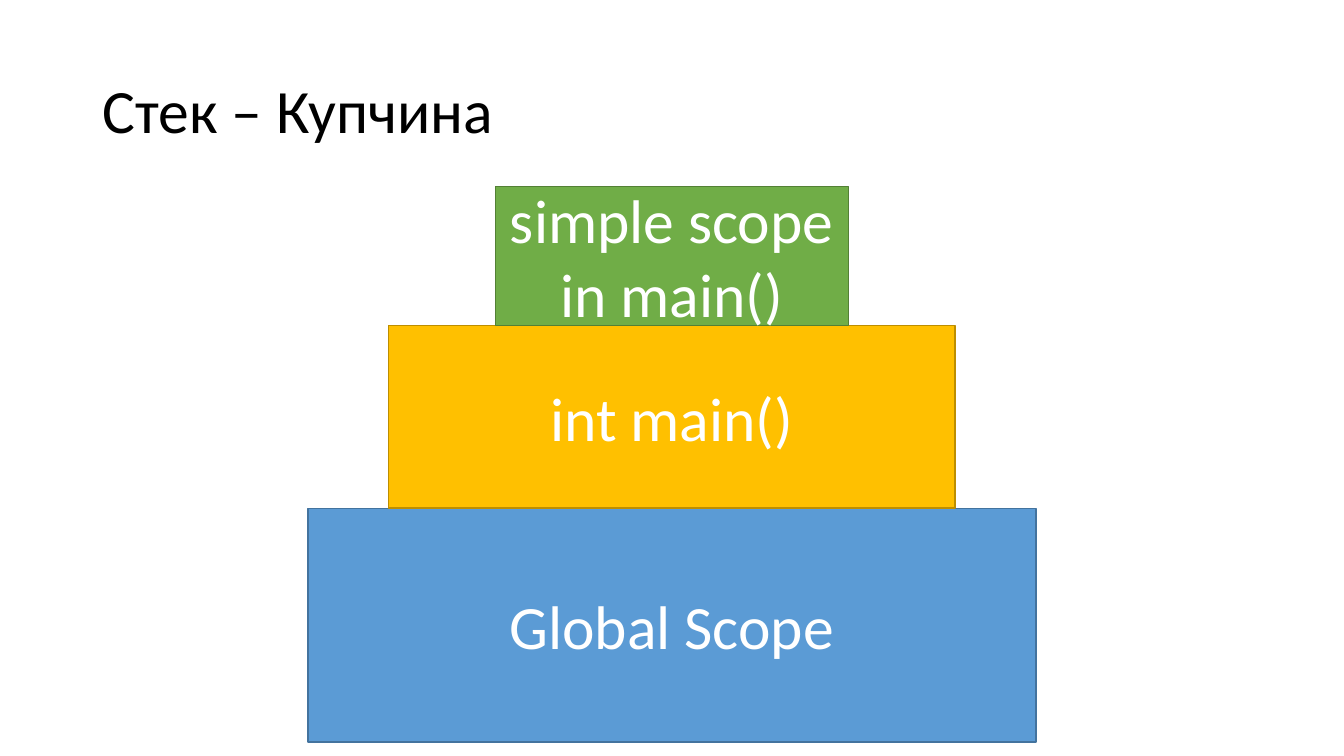
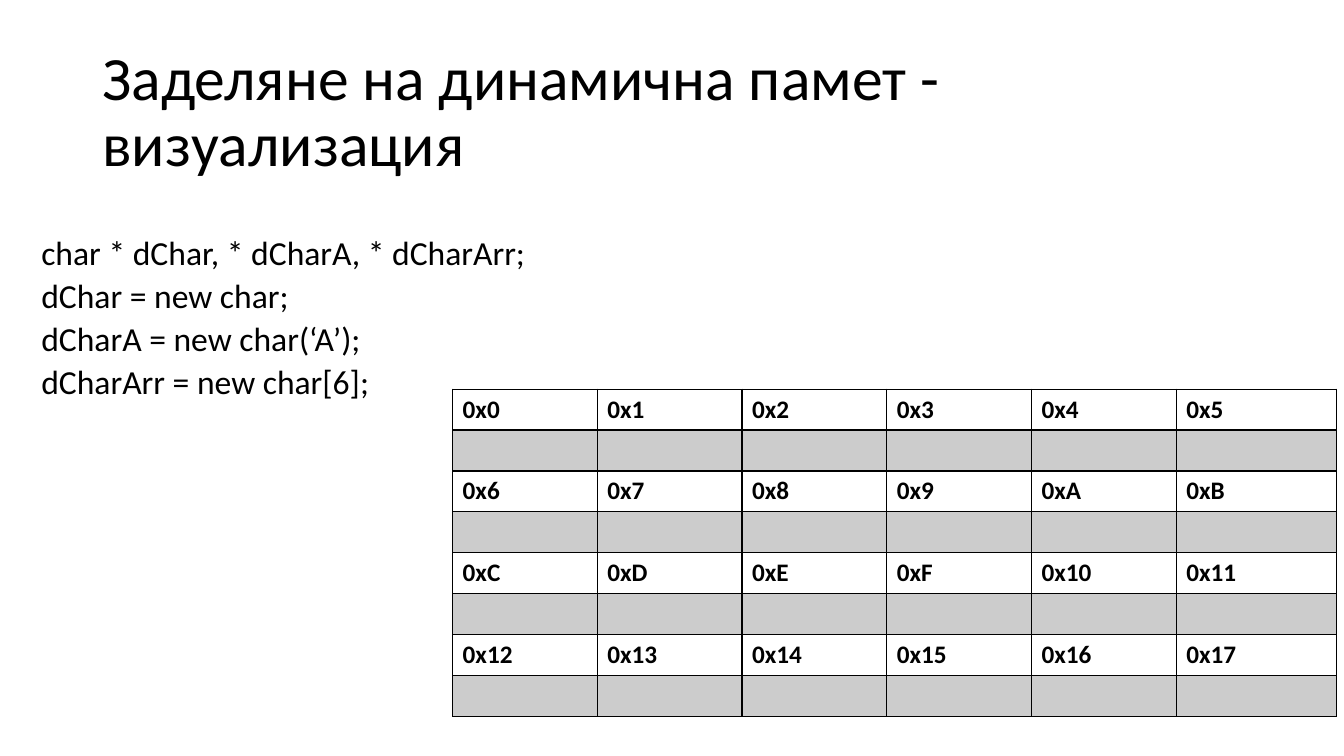
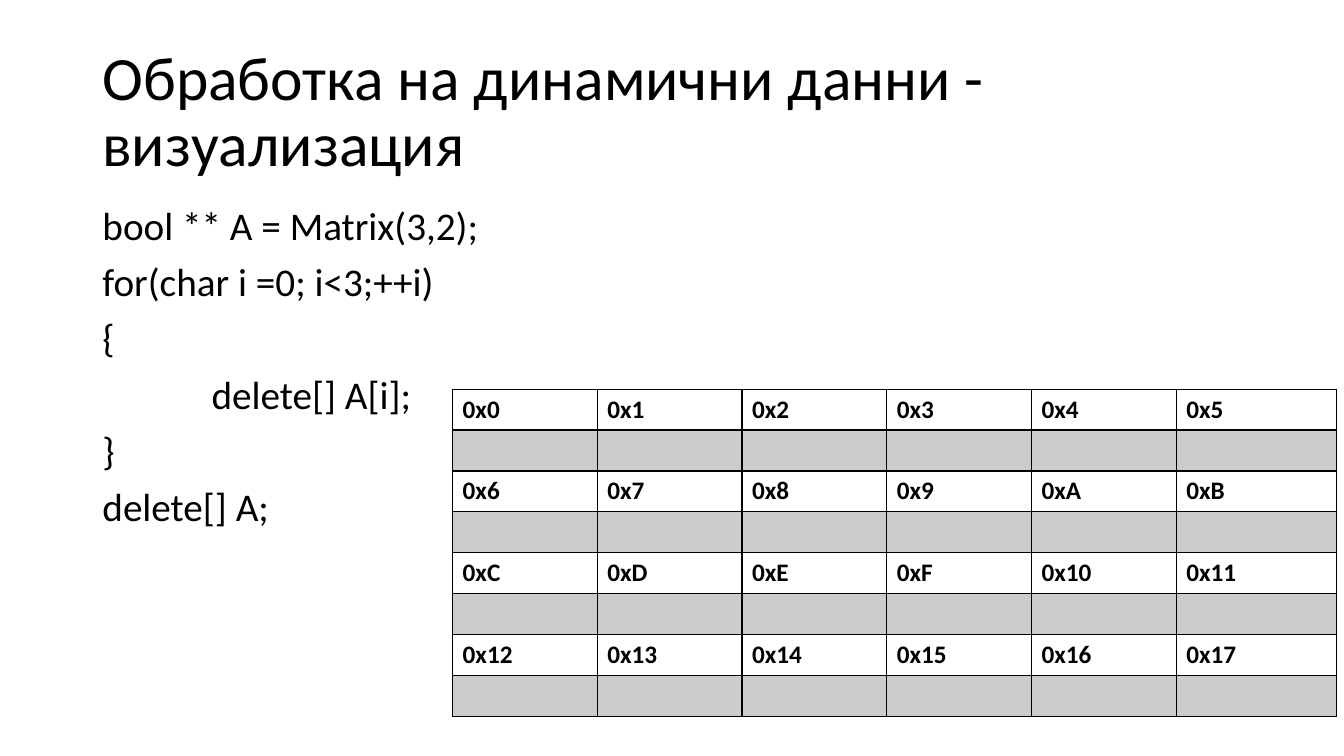
"""Build three slides about the call stack and dynamic memory."""
from dataclasses import dataclass

from lxml import etree
from pptx import Presentation
from pptx.dml.color import RGBColor
from pptx.enum.shapes import MSO_SHAPE
from pptx.enum.text import MSO_ANCHOR, MSO_AUTO_SIZE, PP_ALIGN
from pptx.oxml.ns import qn
from pptx.util import Pt

RECTANGLE = MSO_SHAPE.RECTANGLE
MIDDLE, TOP = MSO_ANCHOR.MIDDLE, MSO_ANCHOR.TOP
LEFT, CENTER = PP_ALIGN.LEFT, PP_ALIGN.CENTER
NO_AUTOFIT = MSO_AUTO_SIZE.NONE

FONT = "Calibri"
BLACK, WHITE = "000000", "FFFFFF"
HEADING_SIZE = 44
LINE_SPACING = 0.9
SLIDE_WIDTH, SLIDE_HEIGHT = 960, 540
LAYOUT_CONTENT, LAYOUT_TITLE_ONLY = 1, 5

STACK_BOTTOM = 530
TABLE_LEFT, TABLE_TOP = 323.3, 278
COLUMN_WIDTHS = [103.4] * 5 + [114.5]
ROW_HEIGHT = 29.2
ADDRESS_ROWS = 4
CELL_SHADE_ALPHA = 20


@dataclass(frozen=True)
class Box:
    """A rectangle on the slide, in points."""
    left: float
    top: float
    width: float
    height: float


@dataclass(frozen=True)
class StackBlock:
    """One centred tier of the stack."""
    lines: tuple[str, ...]
    width: float
    height: float
    fill: str
    line: str


@dataclass(frozen=True)
class CodeLine:
    """One line of code with its left indent in points."""
    text: str
    indent: float = 0


@dataclass(frozen=True)
class CodeListing:
    """Code lines and how the body placeholder shows them."""
    box: Box
    lines: tuple[CodeLine, ...]
    size: float
    space_before: float
    level: int = 0


TITLE_BOX = Box(66, 28.75, 828, 104.4)

STACK_BLOCKS = (
    StackBlock(("Global Scope",), 520, 167, "5B9BD5", "43739E"),
    StackBlock(("int main()",), 404.6, 130.3, "FFC000", "BD8E00"),
    StackBlock(("simple scope", "in main()"), 252, 99.4, "70AD47", "538035"),
)

ALLOCATION_CODE = CodeListing(
    Box(-13.7, 165, 931, 419),
    (
        CodeLine("char * dChar, * dCharA, * dCharArr;", 36),
        CodeLine("dChar = new char;", 36),
        CodeLine("dCharA = new char(‘A’);", 36),
        CodeLine("dCharArr = new char[6];", 36),
    ),
    size=24, space_before=5, level=1,
)

DELETION_CODE = CodeListing(
    Box(66, 143.75, 828, 342.6),
    (
        CodeLine("bool ** A = Matrix(3,2);"),
        CodeLine("for(char i =0; i<3;++i)"),
        CodeLine("{"),
        CodeLine("delete[] A[i];", 78),
        CodeLine("}"),
        CodeLine("delete[] A;"),
    ),
    size=28, space_before=10,
)


def color(value: str) -> RGBColor:
    """Turn a hex string into a colour."""
    return RGBColor.from_string(value)


def set_font(paragraph, size: float, value: str, bold: bool = False) -> None:
    """Format the whole paragraph."""
    font = paragraph.font
    font.name, font.size, font.bold = FONT, Pt(size), bold
    font.color.rgb = color(value)


def place(shape, box: Box) -> None:
    """Move and size a shape."""
    shape.left, shape.top = Pt(box.left), Pt(box.top)
    shape.width, shape.height = Pt(box.width), Pt(box.height)


def add_titled_slide(presentation, layout_index: int, title: str):
    """Add a slide with the shared title style."""
    slide = presentation.slides.add_slide(presentation.slide_layouts[layout_index])
    shape = slide.shapes.title
    place(shape, TITLE_BOX)
    frame = shape.text_frame
    frame.text = title
    frame.auto_size, frame.vertical_anchor = NO_AUTOFIT, MIDDLE
    paragraph = frame.paragraphs[0]
    paragraph.alignment, paragraph.line_spacing = LEFT, LINE_SPACING
    set_font(paragraph, HEADING_SIZE, BLACK)
    return slide


def add_stack(slide, blocks: tuple[StackBlock, ...]) -> None:
    """Pile centred blocks upwards from the stack's bottom edge."""
    top = STACK_BOTTOM
    for block in blocks:
        top -= block.height
        shape = slide.shapes.add_shape(
            RECTANGLE, Pt((SLIDE_WIDTH - block.width) / 2), Pt(top),
            Pt(block.width), Pt(block.height))
        shape.shadow.inherit = False
        shape.fill.solid()
        shape.fill.fore_color.rgb = color(block.fill)
        shape.line.color.rgb = color(block.line)
        shape.line.width = Pt(1)
        frame = shape.text_frame
        frame.text = "\n".join(block.lines)
        frame.word_wrap, frame.vertical_anchor = True, MIDDLE
        for paragraph in frame.paragraphs:
            paragraph.alignment = CENTER
            set_font(paragraph, HEADING_SIZE, WHITE)


def add_code(slide, listing: CodeListing) -> None:
    """Fill the body placeholder with code lines without bullets."""
    shape = slide.placeholders[1]
    place(shape, listing.box)
    frame = shape.text_frame
    frame.text = "\n".join(line.text for line in listing.lines)
    frame.auto_size, frame.vertical_anchor = NO_AUTOFIT, TOP
    for paragraph, line in zip(frame.paragraphs, listing.lines):
        paragraph.level = listing.level
        paragraph.line_spacing = LINE_SPACING
        paragraph.space_before = Pt(listing.space_before)
        set_font(paragraph, listing.size, BLACK)
        properties = paragraph._p.get_or_add_pPr()
        properties.set("marL", str(Pt(line.indent)))
        properties.set("indent", "0")
        properties.insert_element_before(
            etree.Element(qn("a:buNone")), "a:tabLst", "a:defRPr", "a:extLst")


def set_borders(cell, top: float, bottom: float) -> None:
    """Draw black cell borders; the sides are one point wide."""
    properties = cell._tc.get_or_add_tcPr()
    for side, width in (("L", 1), ("R", 1), ("T", top), ("B", bottom)):
        border = etree.SubElement(properties, qn(f"a:ln{side}"), w=str(Pt(width)))
        fill = etree.SubElement(border, qn("a:solidFill"))
        etree.SubElement(fill, qn("a:srgbClr"), val=BLACK)


def shade(cell) -> None:
    """Fill a cell with transparent black."""
    cell.fill.solid()
    cell.fill.fore_color.rgb = color(BLACK)
    solid_color = cell._tc.tcPr.find(".//" + qn("a:srgbClr") + "/..[@w]")
    solid_color = cell._tc.tcPr.find(qn("a:solidFill")).find(qn("a:srgbClr"))
    etree.SubElement(solid_color, qn("a:alpha"), val=str(CELL_SHADE_ALPHA * 1000))


def add_memory_table(slide) -> None:
    """Add rows of addresses, each above a row of shaded memory cells."""
    columns, rows = len(COLUMN_WIDTHS), 2 * ADDRESS_ROWS
    table = slide.shapes.add_table(
        rows, columns, Pt(TABLE_LEFT), Pt(TABLE_TOP),
        Pt(sum(COLUMN_WIDTHS)), Pt(rows * ROW_HEIGHT)).table
    table.first_row = table.horz_banding = False
    for column, width in zip(table.columns, COLUMN_WIDTHS):
        column.width = Pt(width)
    for row_index, row in enumerate(table.rows):
        row.height = Pt(ROW_HEIGHT)
        top = 2 if row_index == 1 else 1
        bottom = 2 if row_index == 0 else 1
        for column_index, cell in enumerate(row.cells):
            set_borders(cell, top, bottom)
            if row_index % 2:
                shade(cell)
                continue
            cell.fill.background()
            cell.text = f"0x{row_index // 2 * columns + column_index:X}"
            set_font(cell.text_frame.paragraphs[0], 18, BLACK, bold=True)


def add_memory_slide(presentation, title: str, listing: CodeListing) -> None:
    """Add a slide with code and the memory table."""
    slide = add_titled_slide(presentation, LAYOUT_CONTENT, title)
    add_code(slide, listing)
    add_memory_table(slide)


def main() -> None:
    """Build and save the presentation."""
    presentation = Presentation()
    presentation.slide_width = Pt(SLIDE_WIDTH)
    presentation.slide_height = Pt(SLIDE_HEIGHT)
    stack_slide = add_titled_slide(presentation, LAYOUT_TITLE_ONLY, "Стек – Купчина")
    add_stack(stack_slide, STACK_BLOCKS)
    add_memory_slide(
        presentation, "Заделяне на динамична памет - визуализация", ALLOCATION_CODE)
    add_memory_slide(
        presentation, "Обработка на динамични данни - визуализация", DELETION_CODE)
    presentation.save("out.pptx")


main()
